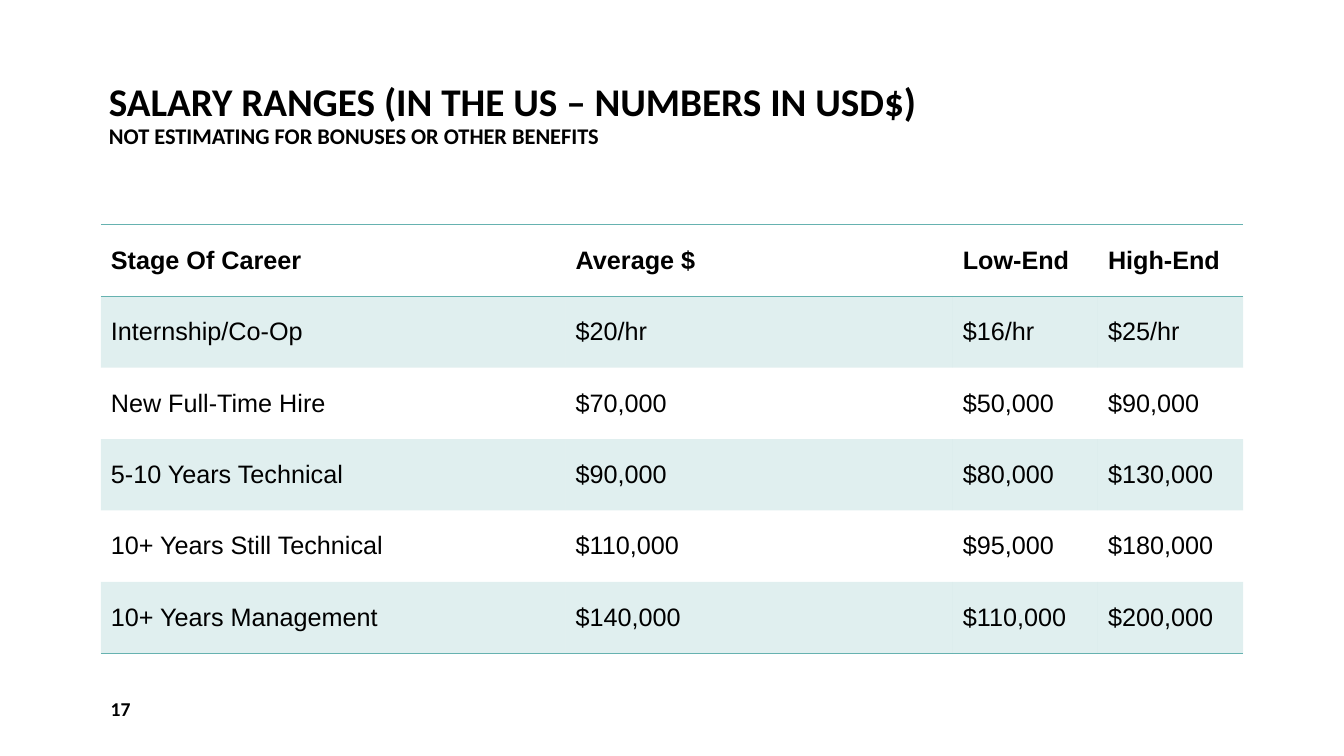
from lxml.etree import SubElement
from pptx import Presentation
from pptx.dml.color import RGBColor
from pptx.enum.text import MSO_ANCHOR, MSO_AUTO_SIZE, PP_ALIGN
from pptx.oxml import parse_xml
from pptx.oxml.ns import nsdecls, qn
from pptx.util import Pt

BLACK = "000000"
TEAL = "66B2B0"
NO_STYLE_NO_GRID = "{2D5ABB26-0587-4C30-8999-92F81FD0307C}"

COLUMN_WIDTHS = [332, 276.6, 103.7, 103.7]
SALARIES = [
    ["Stage Of Career", "Average $", "Low-End", "High-End"],
    ["Internship/Co-Op", "$20/hr", "$16/hr", "$25/hr"],
    ["New Full-Time Hire", "$70,000", "$50,000", "$90,000"],
    ["5-10 Years Technical", "$90,000", "$80,000", "$130,000"],
    ["10+ Years Still Technical", "$110,000", "$95,000", "$180,000"],
    ["10+ Years Management", "$140,000", "$110,000", "$200,000"],
]


def color(hex_value):
    return RGBColor.from_string(hex_value)


def set_font(font, name, size, bold):
    font.name = name
    font.size = Pt(size)
    font.bold = bold
    font.color.rgb = color(BLACK)


def add_border(cell, side):
    """Draw a 1 pt teal line on one side of a cell: "T" or "B"."""
    cell._tc.get_or_add_tcPr().append(parse_xml(
        f'<a:ln{side} {nsdecls("a")} w="{Pt(1)}"><a:solidFill>'
        f'<a:srgbClr val="{TEAL}"/></a:solidFill></a:ln{side}>'))


def tint(cell):
    """Fill a cell with teal at 20 % opacity."""
    cell.fill.solid()
    cell.fill.fore_color.rgb = color(TEAL)
    teal = cell._tc.tcPr.find(qn("a:solidFill")).find(qn("a:srgbClr"))
    SubElement(teal, qn("a:alpha"), val="20000")


def add_heading(slide, left, top, width, height):
    title = slide.shapes.title
    title.left, title.top = Pt(left), Pt(top)
    title.width, title.height = Pt(width), Pt(height)
    frame = title.text_frame
    frame.word_wrap = True
    frame.auto_size = MSO_AUTO_SIZE.NONE
    frame.vertical_anchor = MSO_ANCHOR.BOTTOM
    heading = frame.paragraphs[0]
    heading.alignment = PP_ALIGN.LEFT
    heading.line_spacing = 0.9
    set_font(heading.font, "Calibri", 28, True)
    heading.add_run().text = "SALARY RANGES (IN THE US – NUMBERS IN USD$)"
    heading.add_line_break()
    subtitle = heading.add_run()
    subtitle.text = "NOT ESTIMATING FOR BONUSES OR OTHER BENEFITS"
    subtitle.font.size = Pt(16)


def add_salary_table(slide, left, top, width, height):
    frame = slide.shapes.add_table(len(SALARIES), len(COLUMN_WIDTHS),
                                   Pt(left), Pt(top), Pt(width), Pt(height))
    table = frame.table
    table._tbl.tblPr.find(qn("a:tableStyleId")).text = NO_STYLE_NO_GRID
    for column, column_width in zip(table.columns, COLUMN_WIDTHS):
        column.width = Pt(column_width)
    last_row = len(SALARIES) - 1
    for row, values in enumerate(SALARIES):
        for col, value in enumerate(values):
            cell = table.cell(row, col)
            cell.text = value
            cell.vertical_anchor = MSO_ANCHOR.MIDDLE
            set_font(cell.text_frame.paragraphs[0].font, "Arial", 18, row == 0)
            if row == 0:
                add_border(cell, "T")
            if row in (0, last_row):
                add_border(cell, "B")
            if row % 2:
                tint(cell)
            else:
                cell.fill.background()


def add_page_number(slide, left, top, width, height):
    box = slide.shapes.add_textbox(Pt(left), Pt(top), Pt(width), Pt(height))
    frame = box.text_frame
    frame.word_wrap = True
    frame.vertical_anchor = MSO_ANCHOR.MIDDLE
    number = frame.paragraphs[0]
    number.text = "17"
    set_font(number.font, "Calibri", 14, True)


def main():
    deck = Presentation()
    deck.slide_width, deck.slide_height = Pt(960), Pt(540)
    slide = deck.slides.add_slide(deck.slide_layouts.get_by_name("Title Only"))
    add_heading(slide, 70.6, 5.8, 819.4, 104.4)
    add_salary_table(slide, 72, 160.6, sum(COLUMN_WIDTHS), 306)
    add_page_number(slide, 72, 491.8, 210, 28.8)
    deck.save("out.pptx")


if __name__ == "__main__":
    main()
